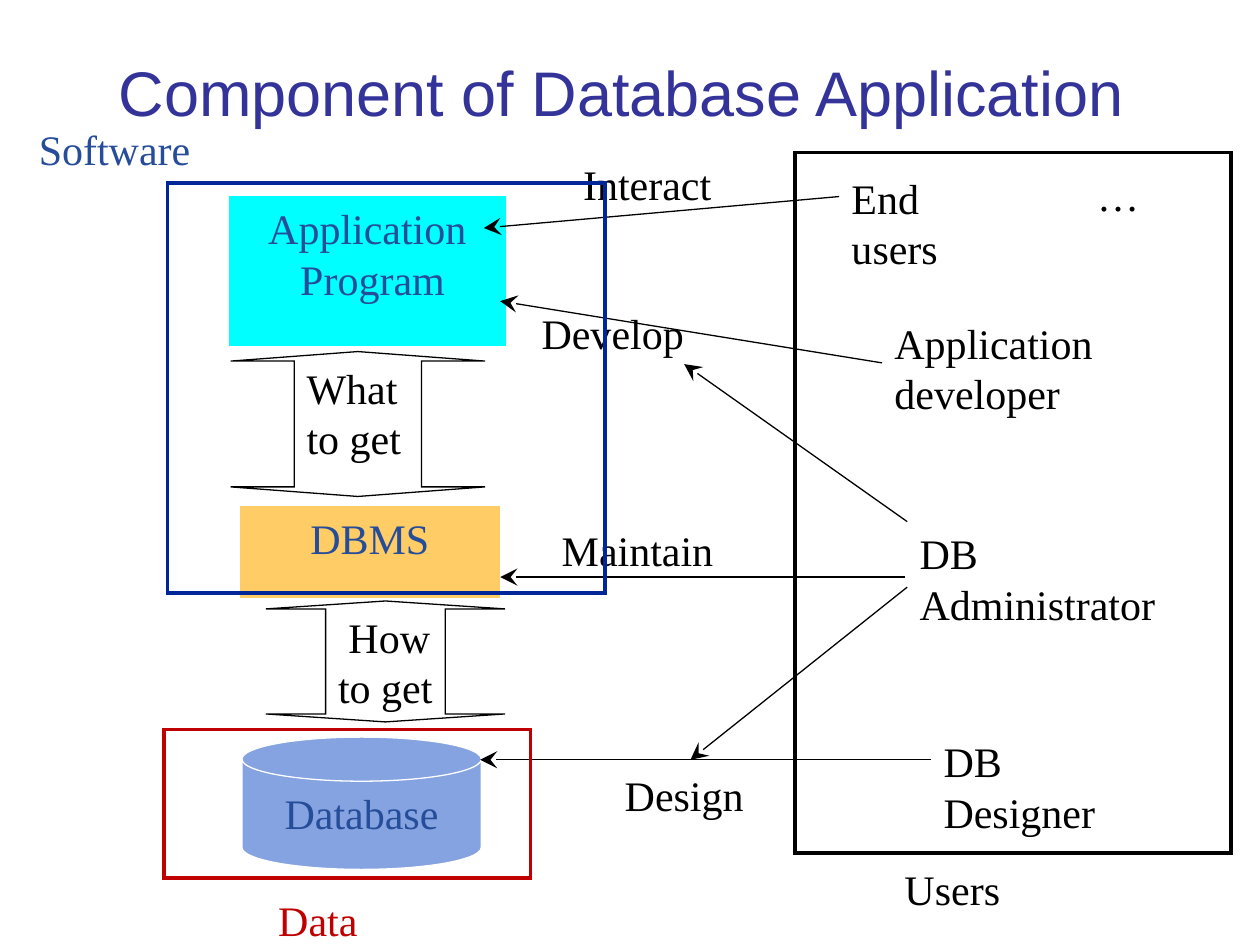
from lxml import etree
from pptx import Presentation
from pptx.dml.color import RGBColor
from pptx.enum.shapes import MSO_CONNECTOR as Connector, MSO_SHAPE as Shape
from pptx.enum.text import MSO_ANCHOR as Anchor, PP_ALIGN as Align
from pptx.oxml.ns import qn
from pptx.util import Inches, Pt

COLORS = {
    "title": "333399",
    "black": "000000",
    "white": "FFFFFF",
    "label": "264D99",
    "software": "002699",
    "data": "C00000",
    "program": "00FFFF",
    "dbms": "FFCC66",
    "database": "85A3E0",
}

LABELS = [
    ("DB Designer", 7.39, 5.79, 1.86, 0.49, "black"),
    ("Design", 4.86, 6.06, 2.14, 0.5, "black"),
    ("Maintain", 4.36, 4.11, 2.14, 0.51, "black"),
    ("End users", 6.66, 1.32, 1.46, 0.49, "black"),
    ("Interact", 4.53, 1.21, 2.14, 0.51, "black"),
    ("Application\ndeveloper", 7, 2.47, 1.81, 0.83, "black"),
    ("Develop", 4.2, 2.39, 2.14, 0.51, "black"),
    ("DB\nAdministrator", 7.2, 4.14, 2.26, 1.04, "black"),
    ("Software", 0.21, 0.93, 1.74, 0.51, "label"),
    ("Users", 7.08, 6.8, 1.65, 0.51, "black"),
    ("Data", 2.11, 7.05, 1.65, 0.45, "data"),
    ("…", 8.61, 1.3, 0.41, 0.5, "black"),
]

ARROWS = [
    (7.39, 6.03, 3.81, 6.03),
    (7.18, 4.58, 3.97, 4.58),
    (7, 2.88, 3.97, 2.39),
    (7.2, 4.66, 5.48, 6.03),
    (7.2, 4.14, 5.43, 2.89),
    (6.66, 1.56, 3.84, 1.81),
]


def rgb(name):
    return RGBColor.from_string(COLORS[name])


def write_text(shape, text, color, align=Align.LEFT, anchor=Anchor.TOP,
               size=24, font="Times New Roman"):
    text_frame = shape.text_frame
    text_frame.word_wrap = True
    text_frame.vertical_anchor = anchor
    text_frame.text = text
    for paragraph in text_frame.paragraphs:
        paragraph.alignment = align
        for run in paragraph.runs:
            run.font.size = Pt(size)
            run.font.name = font
            run.font.color.rgb = rgb(color)


def add_label(slide, text, left, top, width, height, color, **style):
    box = slide.shapes.add_textbox(
        Inches(left), Inches(top), Inches(width), Inches(height))
    write_text(box, text, color, **style)


def add_outline(slide, kind, left, top, width, height, line, weight):
    shape = slide.shapes.add_shape(
        kind, Inches(left), Inches(top), Inches(width), Inches(height))
    shape.shadow.inherit = False
    shape.fill.background()
    shape.line.color.rgb = rgb(line)
    shape.line.width = Pt(weight)
    etree.SubElement(shape.line._get_or_add_ln(), qn("a:miter"), lim="800000")
    return shape


def add_component(slide, kind, text, left, top, width, height, fill, line):
    shape = add_outline(slide, kind, left, top, width, height, line, 0.75)
    shape.fill.solid()
    shape.fill.fore_color.rgb = rgb(fill)
    write_text(shape, text, "label", Align.CENTER)


def add_exchange(slide, text, left, top, width, height):
    shape = add_outline(slide, Shape.UP_DOWN_ARROW, left, top, width, height,
                        "black", 0.75)
    head_length, shaft_width = 0.066, 0.5
    shape.adjustments[0] = head_length
    shape.adjustments[1] = shaft_width
    for guide in shape._element.spPr.iter(qn("a:gd")):
        value = shaft_width if guide.get("name") == "adj1" else head_length
        guide.set("fmla", f"val {round(value * 100000)}")
    write_text(shape, text, "black")


def add_arrow(slide, start_x, start_y, end_x, end_y):
    arrow = slide.shapes.add_connector(
        Connector.STRAIGHT, Inches(start_x), Inches(start_y),
        Inches(end_x), Inches(end_y))
    arrow.line.color.rgb = rgb("black")
    arrow.line.width = Pt(0.75)
    etree.SubElement(arrow.line._get_or_add_ln(), qn("a:tailEnd"),
                     type="stealth", w="lg", len="lg")
    etree.SubElement(arrow._element.spPr, qn("a:effectLst"))


def main():
    presentation = Presentation()
    presentation.slide_width = Inches(10)
    presentation.slide_height = Inches(7.5)
    slide = presentation.slides.add_slide(presentation.slide_layouts[6])

    add_label(slide, "Component of Database Application ", 0.75, 0.24, 8.5, 0.97,
              "title", align=Align.CENTER, anchor=Anchor.MIDDLE,
              size=36, font="Arial")
    add_component(slide, Shape.FLOWCHART_MAGNETIC_DISK, "Database",
                  1.92, 5.85, 1.9, 1.05, "database", "white")
    add_component(slide, Shape.FLOWCHART_PROCESS, "DBMS",
                  1.91, 4.02, 2.05, 0.72, "dbms", "dbms")
    add_component(slide, Shape.FLOWCHART_PROCESS, "Application\n Program",
                  1.82, 1.56, 2.19, 1.18, "program", "program")
    add_exchange(slide, " How to get", 2.11, 4.77, 1.9, 0.96)
    add_exchange(slide, "What to get", 1.83, 2.79, 2.02, 1.15)
    for arrow in ARROWS:
        add_arrow(slide, *arrow)
    for label in LABELS:
        add_label(slide, *label)
    add_outline(slide, Shape.RECTANGLE, 1.33, 1.45, 3.47, 3.26, "software", 2.25)
    add_outline(slide, Shape.FLOWCHART_PROCESS, 6.31, 1.21, 3.46, 5.56, "black", 2)
    add_outline(slide, Shape.FLOWCHART_PROCESS, 1.3, 5.79, 2.91, 1.18, "data", 2)

    presentation.save("out.pptx")


if __name__ == "__main__":
    main()
